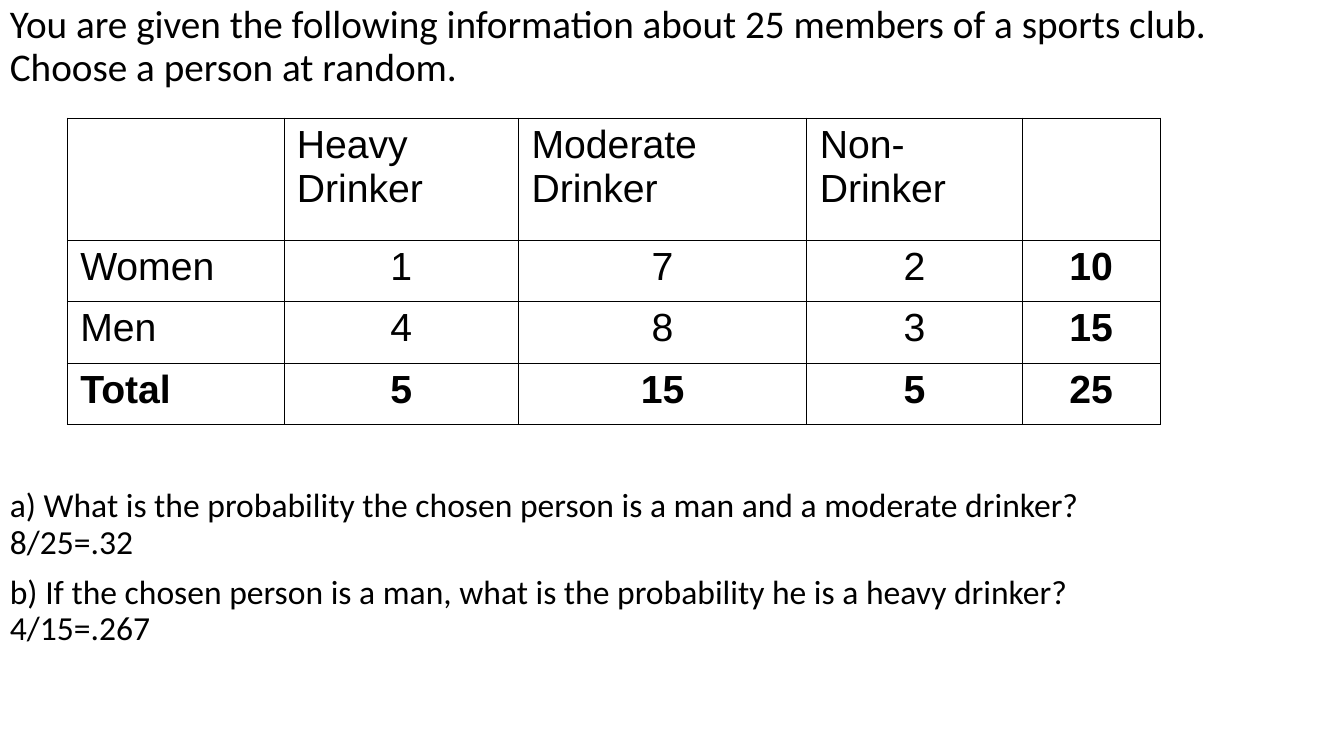
from lxml.etree import SubElement
from pptx import Presentation
from pptx.dml.color import RGBColor
from pptx.enum.text import PP_ALIGN
from pptx.oxml.ns import qn
from pptx.util import Inches, Pt

WIDTH, HEIGHT = 13.34, 7.5
INK = "000000"
COLUMNS = [2.15, 2.33, 2.86, 2.14, 1.37]
ROWS = [1.21, 0.61, 0.61, 0.61]
COUNTS = [
    ["", "Heavy Drinker", "Moderate Drinker", "Non-Drinker", ""],
    ["Women", "1", "7", "2", "10"],
    ["Men", "4", "8", "3", "15"],
    ["Total", "5", "15", "5", "25"],
]
INTRO = [["You are given the following information about 25 members of a sports club. Choose a person at random."]]
QUESTIONS = [
    ["a) What is the probability the chosen person is a man and a moderate drinker?", "8/25=.32"],
    ["b) If the chosen person is a man, what is the probability he is a heavy drinker?", "4/15=.267"],
]


def color(value):
    return RGBColor.from_string(value)


def add_words(paragraph, words, size, face, bold=False):
    run = paragraph.add_run()
    run.text = words
    run.font.size = Pt(size)
    run.font.name = face
    run.font.bold = bold
    run.font.color.rgb = color(INK)


def add_prose(slide, box, paragraphs, size):
    frame = slide.shapes.add_textbox(*map(Inches, box)).text_frame
    frame.word_wrap = True
    for index, lines in enumerate(paragraphs):
        paragraph = frame.add_paragraph() if index else frame.paragraphs[0]
        paragraph.line_spacing = 0.9
        paragraph.space_before = Pt(10 if index else 0)
        for number, line in enumerate(lines):
            if number:
                paragraph.add_line_break()
            add_words(paragraph, line, size, "Calibri")


def outline(cell):
    properties = cell._tc.get_or_add_tcPr()
    for side in ("a:lnL", "a:lnR", "a:lnT", "a:lnB"):
        border = SubElement(properties, qn(side), w=str(Pt(0.45)))
        fill = SubElement(border, qn("a:solidFill"))
        SubElement(fill, qn("a:srgbClr"), val=INK)


def add_counts(slide, left, top):
    box = map(Inches, (left, top, sum(COLUMNS), sum(ROWS)))
    table = slide.shapes.add_table(len(ROWS), len(COLUMNS), *box).table
    table.first_row = table.horz_banding = False
    for column, width in zip(table.columns, COLUMNS):
        column.width = Inches(width)
    for r, (row, height) in enumerate(zip(table.rows, ROWS)):
        row.height = Inches(height)
        for c, cell in enumerate(row.cells):
            cell.margin_left = cell.margin_right = Inches(0.13)
            cell.margin_top = cell.margin_bottom = Inches(0.05)
            outline(cell)
            cell.fill.background()
            if COUNTS[r][c]:
                paragraph = cell.text_frame.paragraphs[0]
                paragraph.alignment = PP_ALIGN.CENTER if r and c else PP_ALIGN.LEFT
                total = r == len(ROWS) - 1 or c == len(COLUMNS) - 1
                add_words(paragraph, COUNTS[r][c], 28, "Arial", total)


def main():
    deck = Presentation()
    deck.slide_width, deck.slide_height = Inches(WIDTH), Inches(HEIGHT)
    slide = deck.slides.add_slide(deck.slide_layouts[6])
    add_prose(slide, (0, 0, WIDTH * 0.97, HEIGHT * 0.13), INTRO, 28)
    add_counts(slide, WIDTH * 0.05, HEIGHT * 0.156)
    add_prose(slide, (0, HEIGHT * 0.64, WIDTH, HEIGHT * 0.22), QUESTIONS, 24)
    deck.save("out.pptx")


if __name__ == "__main__":
    main()
